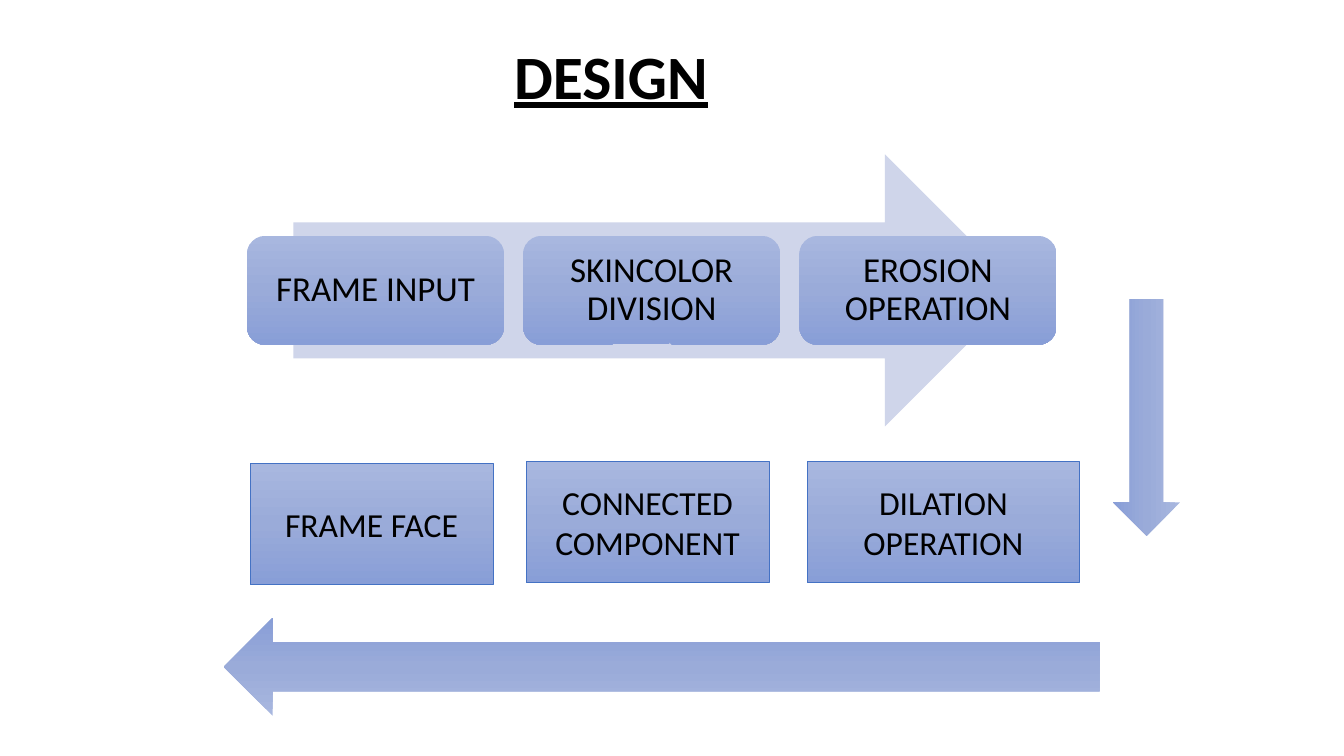
import copy
from dataclasses import dataclass

import pptx
import pptx.dml.color
import pptx.enum.shapes
import pptx.enum.text
import pptx.oxml.ns
import pptx.util

Pt = pptx.util.Pt
RGB = pptx.dml.color.RGBColor.from_string
Preset = pptx.enum.shapes.MSO_SHAPE
Anchor = pptx.enum.text.MSO_ANCHOR
Align = pptx.enum.text.PP_ALIGN


@dataclass(frozen=True)
class Theme:
    font: str = "Calibri"
    ink: str = "000000"
    pale: str = "CFD5EA"
    outline: str = "4472C4"
    gradient: tuple = ("A8B7DF", "9AABD9", "889ED7")
    title_size: float = 44
    step_size: float = 25
    stage_size: float = 24


THEME = Theme()


def write(shape, text, *, size, bold=False, underline=False, align=Align.CENTER,
          anchor=Anchor.MIDDLE, spacing=1.0, margins=(7.2, 3.6, 7.2, 3.6)):
    """Set the text of a shape; margins are left, top, right, bottom in points."""
    frame = shape.text_frame
    frame.word_wrap = True
    frame.vertical_anchor = anchor
    (frame.margin_left, frame.margin_top,
     frame.margin_right, frame.margin_bottom) = map(Pt, margins)
    paragraph = frame.paragraphs[0]
    paragraph.alignment = align
    paragraph.line_spacing = spacing
    run = paragraph.add_run()
    run.text = text
    run.font.name = THEME.font
    run.font.size = Pt(size)
    run.font.bold = bold
    run.font.underline = underline
    run.font.color.rgb = RGB(THEME.ink)


def fill_gradient(shape):
    """Shade from top to bottom through the three theme colours."""
    fill = shape.fill
    fill.gradient()
    fill.gradient_angle = 270
    stops = shape._element.spPr.find(".//" + pptx.oxml.ns.qn("a:gsLst"))
    stops.insert(1, copy.deepcopy(stops[0]))
    for index, (stop, color) in enumerate(zip(fill.gradient_stops, THEME.gradient)):
        stop.position = index / 2
        stop.color.rgb = RGB(color)


def add_block(slide, preset, box, *, color=None, outline=None, rotation=0):
    """Add a shape, shaded with the gradient unless a plain colour is given."""
    block = slide.shapes.add_shape(preset, *map(Pt, box))
    block.shadow.inherit = False
    block.rotation = rotation
    if color:
        block.fill.solid()
        block.fill.fore_color.rgb = RGB(color)
    else:
        fill_gradient(block)
    if outline:
        block.line.color.rgb = RGB(outline)
        block.line.width = Pt(0.5)
    else:
        block.line.fill.background()
    return block


def add_title(slide, text):
    title = slide.shapes.add_textbox(Pt(0), Pt(28.8), Pt(828), Pt(104.4))
    write(title, text, size=THEME.title_size, bold=True, underline=True,
          align=Align.LEFT, anchor=Anchor.TOP, spacing=0.9,
          margins=(367.2, 3.9, 7.2, 3.6))


def add_steps(slide, labels):
    for index, label in enumerate(labels):
        step = add_block(slide, Preset.ROUNDED_RECTANGLE,
                         (176.4 + 197.3 * index, 168.5, 183.6, 77.8))
        write(step, label, size=THEME.step_size, spacing=0.9,
              margins=(11, 11, 11, 11))


def add_stage(slide, label, left, top, width):
    stage = add_block(slide, Preset.RECTANGLE, (left, top, width, 86.4),
                      outline=THEME.outline)
    write(stage, label, size=THEME.stage_size)


def main():
    deck = pptx.Presentation()
    deck.slide_width, deck.slide_height = Pt(960), Pt(540)
    slide = deck.slides.add_slide(deck.slide_layouts[6])

    add_title(slide, "DESIGN")
    add_block(slide, Preset.RIGHT_ARROW, (209.5, 110.2, 519.8, 194.4), color=THEME.pale)
    add_steps(slide, ("FRAME INPUT", "SKINCOLOR DIVISION", "EROSION OPERATION"))
    add_block(slide, Preset.RIGHT_ARROW, (437.8, 244.8, 42.5, 4.3), color=THEME.pale)

    add_stage(slide, "DILATION OPERATION", 576.7, 329.8, 194.4)
    add_stage(slide, "CONNECTED COMPONENT", 375.8, 329.8, 173.5)
    add_stage(slide, "FRAME FACE", 178.6, 331.2, 173.5)

    add_block(slide, Preset.RIGHT_ARROW, (159.8, 441.4, 625.7, 69.8), rotation=180)
    add_block(slide, Preset.RIGHT_ARROW, (734.4, 274.3, 169.2, 47.5), rotation=90)
    deck.save("out.pptx")


if __name__ == "__main__":
    main()
